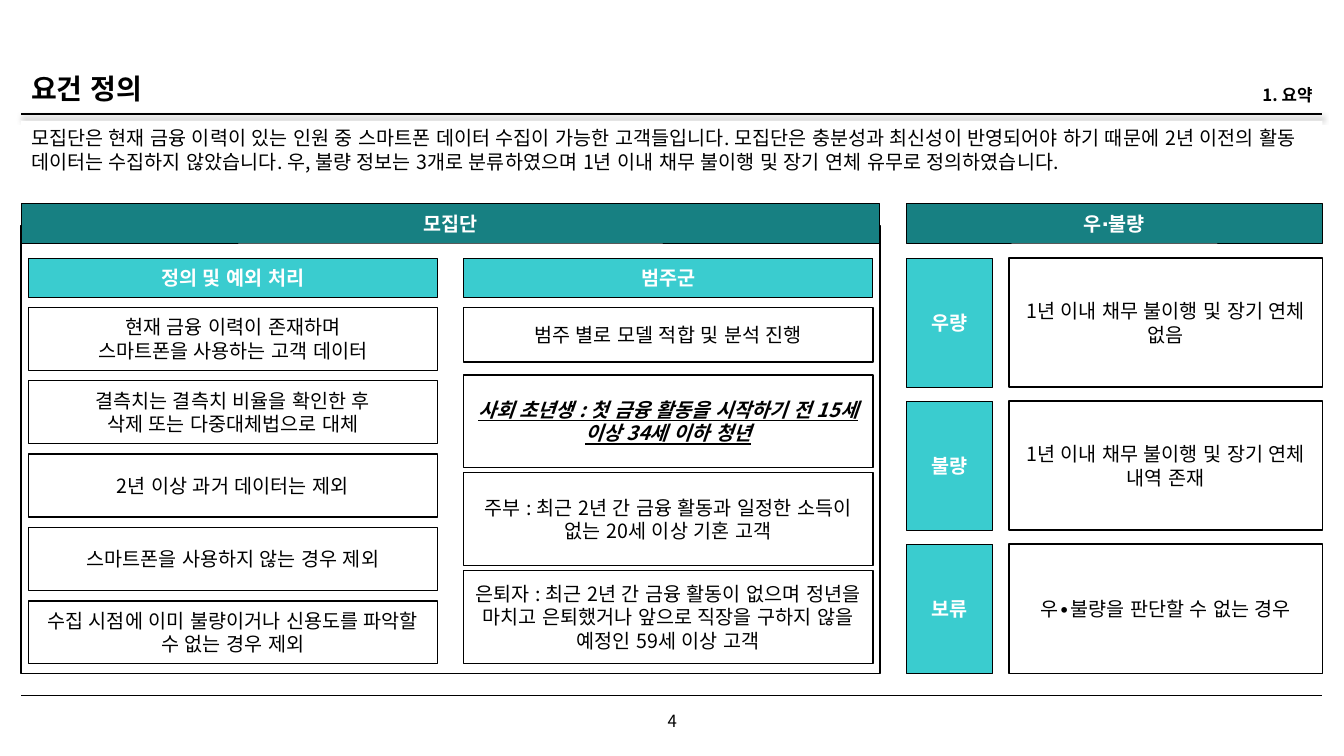
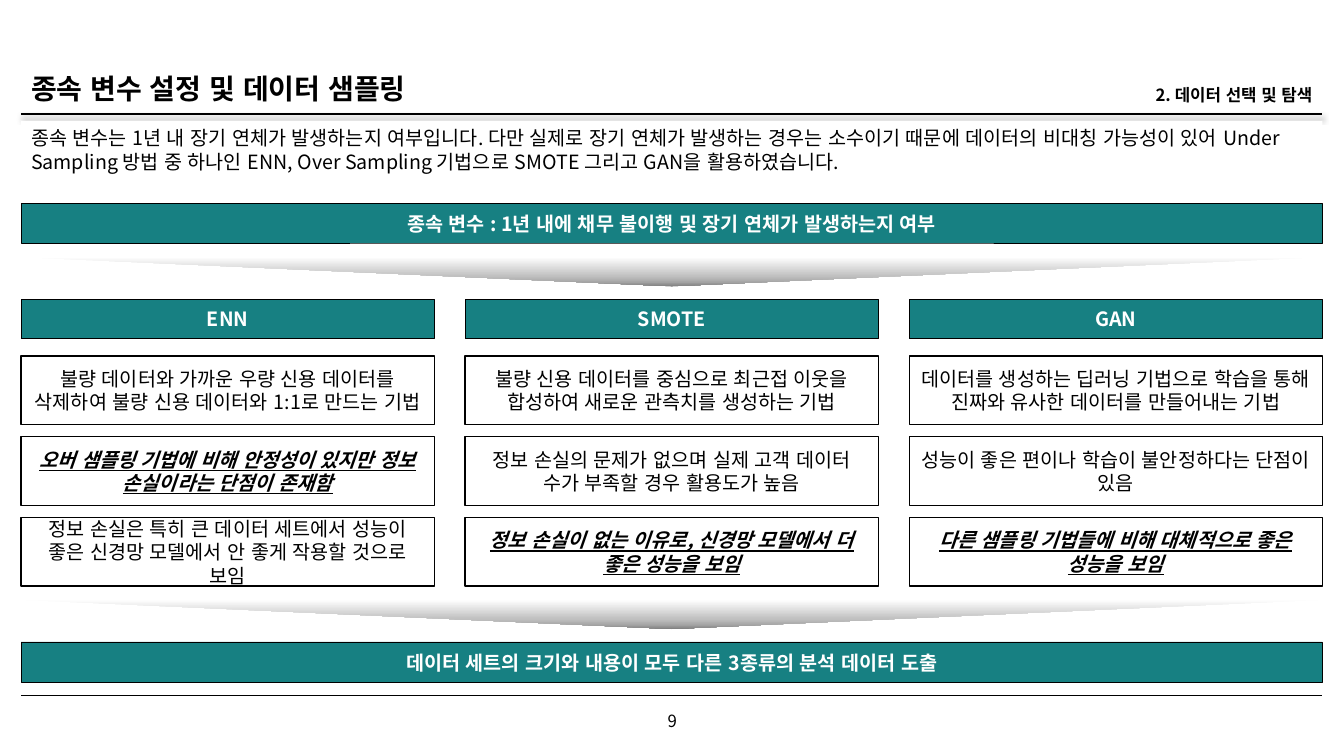
from dataclasses import dataclass

from lxml import etree
from pptx import Presentation
from pptx.dml.color import RGBColor
from pptx.enum.lang import MSO_LANGUAGE_ID
from pptx.enum.shapes import MSO_CONNECTOR, MSO_SHAPE
from pptx.enum.text import MSO_ANCHOR, PP_ALIGN
from pptx.oxml.ns import qn
from pptx.util import Pt

RECT, DOWN_ARROW = MSO_SHAPE.RECTANGLE, MSO_SHAPE.DOWN_ARROW
STRAIGHT = MSO_CONNECTOR.STRAIGHT
TOP, MIDDLE, BOTTOM = MSO_ANCHOR.TOP, MSO_ANCHOR.MIDDLE, MSO_ANCHOR.BOTTOM
START, CENTER, END = PP_ALIGN.LEFT, PP_ALIGN.CENTER, PP_ALIGN.RIGHT
KOREAN = MSO_LANGUAGE_ID.KOREAN


@dataclass(frozen=True)
class Theme:
    font: str = "Noto Sans CJK KR"
    ink: str = "000000"
    paper: str = "FFFFFF"
    teal: str = "178082"
    aqua: str = "3ACCCF"
    arrow_stops: tuple = ((0, "FFFFFF"), (67, "BFBFBF"), (85, "A6A6A6"), (100, "808080"))
    title_size: float = 20
    body_size: float = 14
    small_size: float = 12


THEME = Theme()


@dataclass(frozen=True)
class BoxStyle:
    fill: str
    color: str
    line: float = 0
    bold: bool = False


@dataclass(frozen=True)
class Area:
    left: float
    top: float
    width: float
    height: float

    def emu(self) -> tuple:
        return Pt(self.left), Pt(self.top), Pt(self.width), Pt(self.height)


@dataclass(frozen=True)
class Note:
    text: str
    key: bool = False


@dataclass(frozen=True)
class Page:
    title: str
    section: str
    number: str
    intro: str


HEADING = BoxStyle(THEME.teal, THEME.paper, 0.5, True)
SUBHEADING = BoxStyle(THEME.aqua, THEME.paper, 0.5, True)
CARD = BoxStyle(THEME.paper, THEME.ink, 1)
PLAIN = BoxStyle(THEME.paper, THEME.ink)
PLAIN_BOLD = BoxStyle(THEME.paper, THEME.ink, bold=True)

# Shared grid
LEFT, WIDTH = 15.1, 929.5
RIGHT = LEFT + WIDTH
BAND_TOP, BAND_HEIGHT = 145.4, 28.2


def rgb(value: str) -> RGBColor:
    return RGBColor.from_string(value)


def write_text(shape, text: str, *, size: float = THEME.body_size, color: str = THEME.ink,
               bold: bool = False, key: bool = False, align=CENTER, anchor=MIDDLE) -> None:
    frame = shape.text_frame
    frame.word_wrap = True
    frame.vertical_anchor = anchor
    for index, line in enumerate(text.split("\n")):
        paragraph = frame.add_paragraph() if index else frame.paragraphs[0]
        paragraph.alignment = align
        run = paragraph.add_run()
        run.text = line
        font = run.font
        font.name, font.size, font.language_id = THEME.font, Pt(size), KOREAN
        font.bold, font.italic, font.underline = bold or key, key, key
        font.color.rgb = rgb(color)
        east_asian = etree.Element(qn("a:ea"), typeface=THEME.font)
        run._r.rPr.find(qn("a:latin")).addnext(east_asian)


def draw_box(slide, area: Area, style: BoxStyle, text: str = "", **text_format) -> None:
    box = slide.shapes.add_shape(RECT, *area.emu())
    box.shadow.inherit = False
    box.fill.solid()
    box.fill.fore_color.rgb = rgb(style.fill)
    if style.line:
        box.line.color.rgb = rgb(THEME.ink)
        box.line.width = Pt(style.line)
    else:
        box.line.fill.background()
    if text:
        write_text(box, text, color=style.color, bold=style.bold, **text_format)


def draw_rule(slide, top: float, shadow: bool = False) -> None:
    rule = slide.shapes.add_connector(STRAIGHT, Pt(LEFT), Pt(top), Pt(RIGHT), Pt(top))
    rule.line.color.rgb = rgb(THEME.ink)
    rule.line.width = Pt(1)
    effects = etree.SubElement(rule._element.spPr, qn("a:effectLst"))
    if shadow:
        outer = etree.SubElement(effects, qn("a:outerShdw"), blurRad=str(Pt(4)),
                                 dist=str(Pt(3)), dir="5400000", algn="t", rotWithShape="0")
        tint = etree.SubElement(outer, qn("a:srgbClr"), val=THEME.ink)
        etree.SubElement(tint, qn("a:alpha"), val="40000")


def draw_flow_arrow(slide, top: float) -> None:
    arrow = slide.shapes.add_shape(DOWN_ARROW, *Area(LEFT, top, WIDTH, 20.9).emu())
    arrow.shadow.inherit = False
    arrow.adjustments[0], arrow.adjustments[1] = 0.49, 1.0
    arrow.line.fill.background()
    arrow.fill.gradient()
    arrow.fill.gradient_angle = 270
    stops = arrow._element.spPr.find(qn("a:gradFill")).find(qn("a:gsLst"))
    for old_stop in list(stops):
        stops.remove(old_stop)
    for percent, color in THEME.arrow_stops:
        stop = etree.SubElement(stops, qn("a:gs"), pos=str(percent * 1000))
        etree.SubElement(stop, qn("a:srgbClr"), val=color)


def draw_stack(slide, first: Area, step: float, notes: tuple) -> None:
    for index, note in enumerate(notes):
        area = Area(first.left, first.top + index * step, first.width, first.height)
        draw_box(slide, area, CARD, note.text, key=note.key)


def start_page(deck, page: Page):
    slide = deck.slides.add_slide(deck.slide_layouts[6])
    draw_rule(slide, 81.4, shadow=True)
    draw_rule(slide, 496.8)
    draw_box(slide, Area(LEFT, 32.4, 733.7, 46), PLAIN_BOLD, page.title,
             size=THEME.title_size, align=START, anchor=BOTTOM)
    draw_box(slide, Area(RIGHT - 459.4, 32.4, 459.4, 46), PLAIN_BOLD, page.section,
             size=THEME.small_size, align=END, anchor=BOTTOM)
    draw_box(slide, Area(LEFT, 86.4, WIDTH, 54.7), PLAIN, page.intro, align=START, anchor=TOP)
    number = slide.shapes.add_textbox(*Area(372.2, 500.4, 216, 28.8).emu())
    write_text(number, page.number, size=THEME.small_size)
    return slide


# Requirements page
REQUIREMENTS = Page(
    "요건 정의", "1. 요약", "4",
    "모집단은 현재 금융 이력이 있는 인원 중 스마트폰 데이터 수집이 가능한 고객들입니다. "
    "모집단은 충분성과 최신성이 반영되어야 하기 때문에 2년 이전의 활동 데이터는 수집하지 않았습니다. "
    "우, 불량 정보는 3개로 분류하였으며 1년 이내 채무 불이행 및 장기 연체 유무로 정의하였습니다.")
EXCEPTIONS = (
    Note("현재 금융 이력이 존재하며\n스마트폰을 사용하는 고객 데이터"),
    Note("결측치는 결측치 비율을 확인한 후\n삭제 또는 다중대체법으로 대체"),
    Note("2년 이상 과거 데이터는 제외"),
    Note("스마트폰을 사용하지 않는 경우 제외"),
    Note("수집 시점에 이미 불량이거나 신용도를 파악할 수 없는 경우 제외"),
)
CATEGORIES = (
    Note("사회 초년생 : 첫 금융 활동을 시작하기 전 15세 이상 34세 이하 청년", key=True),
    Note("주부 : 최근 2년 간 금융 활동과 일정한 소득이 없는 20세 이상 기혼 고객"),
    Note("은퇴자 : 최근 2년 간 금융 활동이 없으며 정년을 마치고 은퇴했거나 "
         "앞으로 직장을 구하지 않을 예정인 59세 이상 고객"),
)
GRADES = (
    ("우량", "1년 이내 채무 불이행 및 장기 연체 없음"),
    ("불량", "1년 이내 채무 불이행 및 장기 연체 내역 존재"),
    ("보류", "우∙불량을 판단할 수 없는 경우"),
)


def build_requirements(deck) -> None:
    slide = start_page(deck, REQUIREMENTS)
    population_width, column_width = 613.4, 292.3
    rules_left, groups_left = 20.2, 331.2
    sub_top, cards_top = 184.3, 219.6

    # Population
    draw_box(slide, Area(LEFT, 161.3, population_width, 319.7), CARD)
    draw_box(slide, Area(LEFT, BAND_TOP, population_width, BAND_HEIGHT), HEADING, "모집단")
    for left, label in ((rules_left, "정의 및 예외 처리"), (groups_left, "범주군")):
        draw_box(slide, Area(left, sub_top, column_width, BAND_HEIGHT), SUBHEADING, label)
    draw_stack(slide, Area(rules_left, cards_top, column_width, 44.9), 52.4, EXCEPTIONS)
    draw_box(slide, Area(groups_left, cards_top, column_width, 38.9), CARD,
             "범주 별로 모델 적합 및 분석 진행")
    draw_stack(slide, Area(groups_left, 267.8, column_width, 66.2), 69.9, CATEGORIES)

    # Good and bad grades
    grades_left, meaning_left = 647.3, 720.7
    draw_box(slide, Area(grades_left, BAND_TOP, RIGHT - grades_left, BAND_HEIGHT),
             HEADING, "우∙불량")
    for index, (grade, meaning) in enumerate(GRADES):
        top = sub_top + index * 102.2
        draw_box(slide, Area(grades_left, top, 61.9, 92.2), SUBHEADING, grade)
        draw_box(slide, Area(meaning_left, top, RIGHT - meaning_left, 92.2), CARD, meaning)


# Sampling page
SAMPLING = Page(
    "종속 변수 설정 및 데이터 샘플링", "2. 데이터 선택 및 탐색", "9",
    "종속 변수는 1년 내 장기 연체가 발생하는지 여부입니다. 다만 실제로 장기 연체가 발생하는 경우는 "
    "소수이기 때문에 데이터의 비대칭 가능성이 있어 Under Sampling 방법 중 하나인 ENN, "
    "Over Sampling 기법으로 SMOTE 그리고 GAN을 활용하였습니다.")
METHODS = (
    ("ENN", (
        Note("불량 데이터와 가까운 우량 신용 데이터를 삭제하여 불량 신용 데이터와 1:1로 만드는 기법"),
        Note("오버 샘플링 기법에 비해 안정성이 있지만 정보 손실이라는 단점이 존재함", key=True),
        Note("정보 손실은 특히 큰 데이터 세트에서 성능이 좋은 신경망 모델에서 안 좋게 작용할 것으로 보임"),
    )),
    ("SMOTE", (
        Note("불량 신용 데이터를 중심으로 최근접 이웃을 합성하여 새로운 관측치를 생성하는 기법"),
        Note("정보 손실의 문제가 없으며 실제 고객 데이터 수가 부족할 경우 활용도가 높음"),
        Note("정보 손실이 없는 이유로, 신경망 모델에서 더 좋은 성능을 보임", key=True),
    )),
    ("GAN", (
        Note("데이터를 생성하는 딥러닝 기법으로 학습을 통해 진짜와 유사한 데이터를 만들어내는 기법"),
        Note("성능이 좋은 편이나 학습이 불안정하다는 단점이 있음"),
        Note("다른 샘플링 기법들에 비해 대체적으로 좋은 성능을 보임", key=True),
    )),
)


def build_sampling(deck) -> None:
    slide = start_page(deck, SAMPLING)
    draw_box(slide, Area(LEFT, BAND_TOP, WIDTH, BAND_HEIGHT), HEADING,
             "종속 변수 : 1년 내에 채무 불이행 및 장기 연체가 발생하는지 여부")
    draw_flow_arrow(slide, 183.6)

    # Method columns
    gap = 22
    column_width = (WIDTH - gap * (len(METHODS) - 1)) / len(METHODS)
    for index, (method, notes) in enumerate(METHODS):
        left = LEFT + index * (column_width + gap)
        draw_box(slide, Area(left, 213.8, column_width, BAND_HEIGHT), HEADING, method)
        draw_stack(slide, Area(left, 254.2, column_width, 49), 57.7, notes)

    # Result
    draw_flow_arrow(slide, 428.4)
    draw_box(slide, Area(LEFT, 458.6, WIDTH, 28.8), HEADING,
             "데이터 세트의 크기와 내용이 모두 다른 3종류의 분석 데이터 도출")


def main() -> None:
    deck = Presentation()
    deck.slide_width, deck.slide_height = Pt(960), Pt(540)
    build_requirements(deck)
    build_sampling(deck)
    deck.save("out.pptx")


if __name__ == "__main__":
    main()
